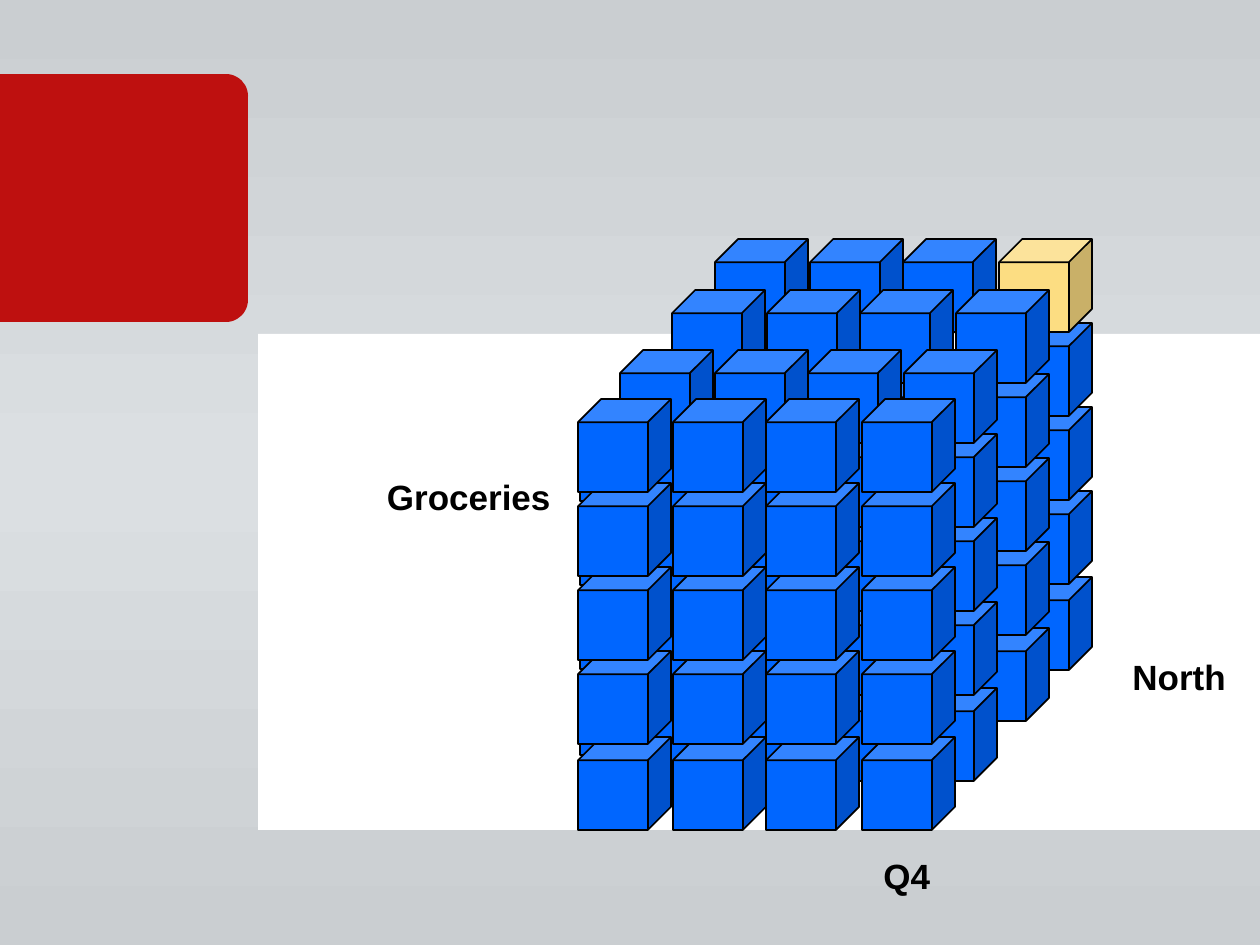
import copy

from pptx import Presentation
from pptx.dml.color import RGBColor
from pptx.enum import shapes, text
from pptx.util import Emu, Pt

BLACK = RGBColor(0x00, 0x00, 0x00)
WHITE = RGBColor(0xFF, 0xFF, 0xFF)
RED = RGBColor(0xBE, 0x10, 0x0F)
BLUE = RGBColor(0x00, 0x66, 0xFF)
SAND = RGBColor(0xFC, 0xDD, 0x82)
GREY = RGBColor(0xCA, 0xCE, 0xD1)
PALE_GREY = RGBColor(0xDB, 0xDF, 0xE2)

EMU_PER_PX = 914400 / 126
CUBE_SIZE = 93
COLUMNS = (0, 95, 188, 284)
ROWS = (338, 252, 168, 84, 0)
LABEL_FONT = {"name": "Arial", "size": Pt(20), "bold": True}
LABEL_FRAME = {"word_wrap": True, "auto_size": text.MSO_AUTO_SIZE.SHAPE_TO_FIT_TEXT}


def px(*lengths):
    return [Emu(round(length * EMU_PER_PX)) for length in lengths]


def apply(target, values):
    for name, value in values.items():
        setattr(target, name, value)


class CubeSlide:
    """Draws a data cube and its labels on one slide in a shared style."""

    def __init__(self, presentation):
        self.slide = presentation.slides.add_slide(presentation.slide_layouts[6])

    def background(self, edge, middle):
        fill = self.slide.background.fill
        fill.gradient()
        fill.gradient_angle = 270
        first = fill.gradient_stops[0]._gs
        first.addnext(copy.deepcopy(first))
        for stop, position, color in zip(fill.gradient_stops, (0, 0.5, 1), (edge, middle, edge)):
            stop.position = position
            stop.color.rgb = color

    def block(self, kind, box, color, line=None, parent=None):
        shape = (parent or self.slide).shapes.add_shape(kind, *px(*box))
        shape.shadow.inherit = False
        shape.fill.solid()
        shape.fill.fore_color.rgb = color
        if line is None:
            shape.line.fill.background()
        else:
            shape.line.color.rgb = line
            shape.line.width = Pt(1)
        return shape

    def cube(self, left, top, color=BLUE, parent=None):
        box = (left, top, CUBE_SIZE, CUBE_SIZE)
        shape = self.block(shapes.MSO_SHAPE.CUBE, box, color, BLACK, parent)
        shape.adjustments[0] = 0.25

    def layer(self, left, top, columns=COLUMNS, rows=ROWS, parent=None):
        for x in columns:
            for y in rows:
                self.cube(left + x, top + y, parent=parent)

    def label(self, wording, box, align=text.PP_ALIGN.LEFT):
        frame = self.slide.shapes.add_textbox(*px(*box)).text_frame
        apply(frame, LABEL_FRAME)
        paragraph = frame.paragraphs[0]
        paragraph.alignment = align
        run = paragraph.add_run()
        run.text = wording
        apply(run.font, LABEL_FONT)
        run.font.color.rgb = BLACK

    def group(self):
        return self.slide.shapes.add_group_shape()


def main():
    presentation = Presentation()
    presentation.slide_width, presentation.slide_height = px(1260, 945)
    page = CubeSlide(presentation)
    page.background(GREY, PALE_GREY)
    page.block(shapes.MSO_SHAPE.RECTANGLE, (258, 334, 1002, 496), WHITE)
    tab = page.block(shapes.MSO_SHAPE.ROUND_2_SAME_RECTANGLE, (0, 74, 248, 248), RED)
    tab.rotation = 90
    tab.adjustments[0] = 0.089

    page.layer(580, 324, COLUMNS[:3], ROWS[:4])

    back = page.group()
    page.layer(715, 239, COLUMNS[:3], ROWS[4:], back)
    page.layer(715, 239, COLUMNS[3:], ROWS[:4], back)
    page.cube(715 + COLUMNS[3], 239, SAND, back)
    for left, top in ((672, 290), (620, 350), (578, 399)):
        page.layer(left, top, parent=page.group())

    page.label("North", (1120, 649, 138, 54))
    page.label("Q4", (871, 848, 103, 54))
    page.label("Groceries", (345, 469, 218, 54), text.PP_ALIGN.RIGHT)
    presentation.save("out.pptx")


if __name__ == "__main__":
    main()
